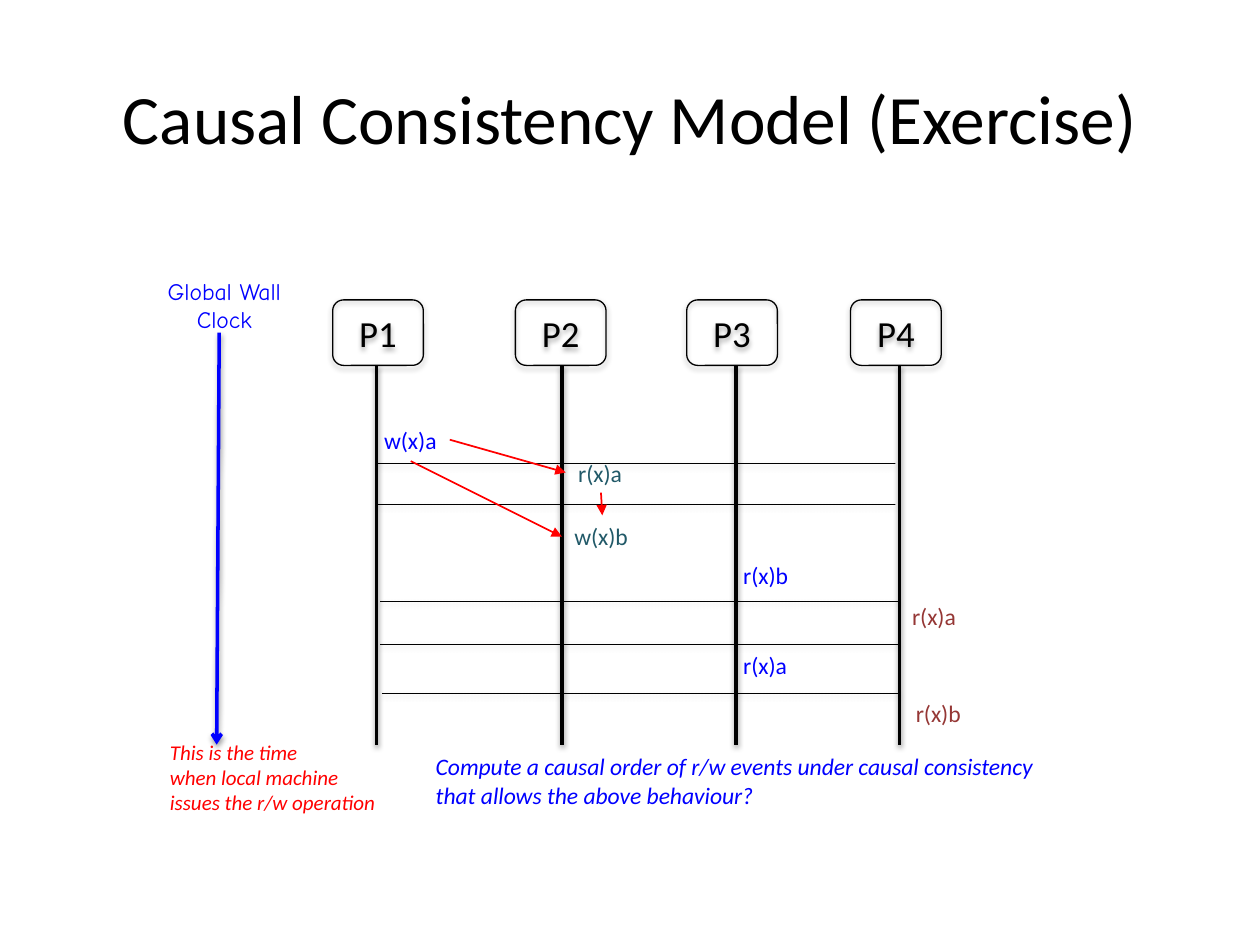
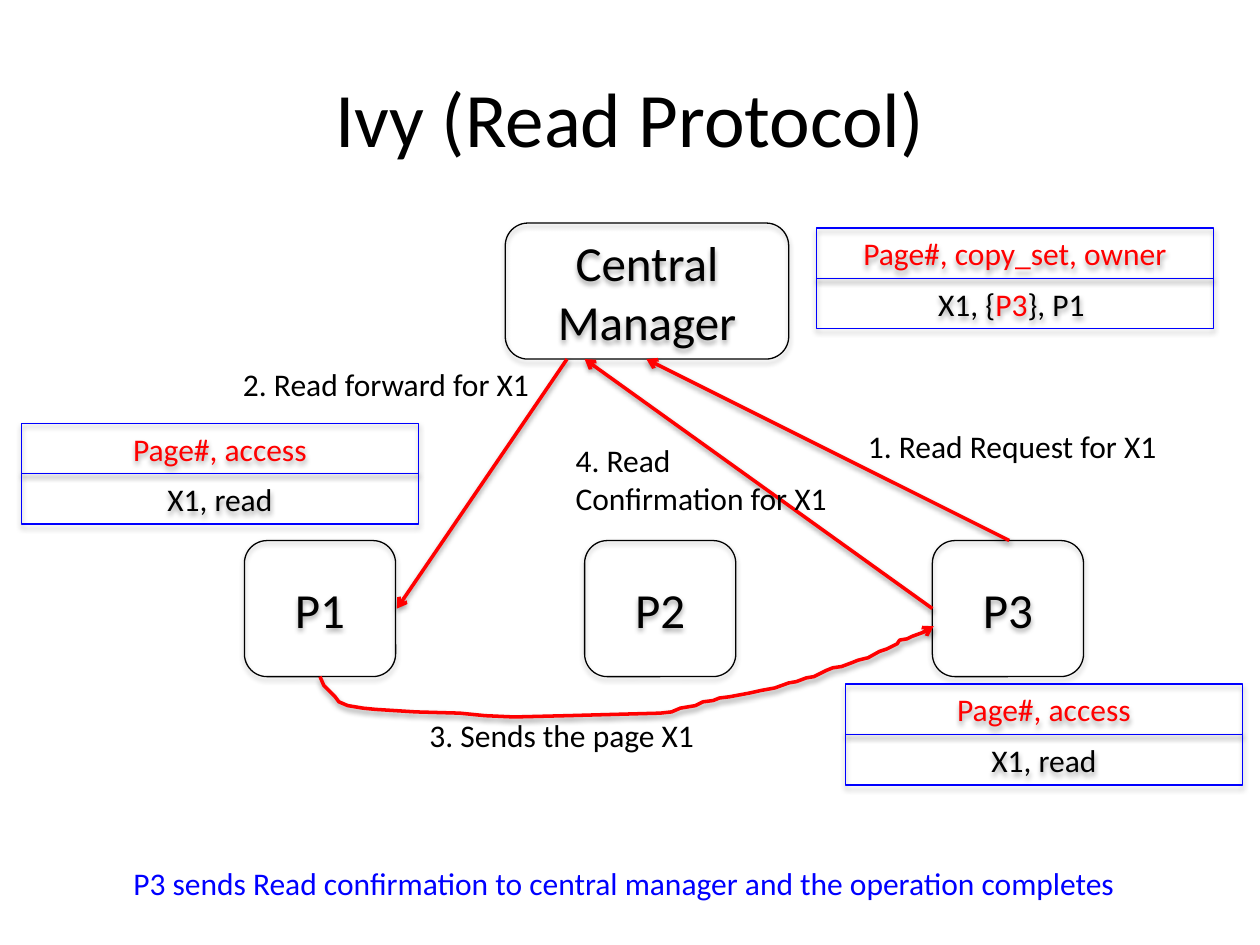
from lxml import etree
from pptx import Presentation
from pptx.dml.color import RGBColor
from pptx.enum.dml import MSO_LINE
from pptx.enum.shapes import MSO_CONNECTOR, MSO_SHAPE
from pptx.enum.text import MSO_ANCHOR, MSO_AUTO_SIZE, PP_ALIGN
from pptx.oxml.ns import qn
from pptx.util import Emu, Inches, Pt

STRAIGHT = MSO_CONNECTOR.STRAIGHT
ROUNDED, RECT = MSO_SHAPE.ROUNDED_RECTANGLE, MSO_SHAPE.RECTANGLE
LEFT, CENTER = PP_ALIGN.LEFT, PP_ALIGN.CENTER
MIDDLE = MSO_ANCHOR.MIDDLE
FIT, DOTTED = MSO_AUTO_SIZE.SHAPE_TO_FIT_TEXT, MSO_LINE.ROUND_DOT

COLUMNS, ROWS = 10, 7.5
WIDTH, HEIGHT = Inches(10), Inches(7.5)
BODY, HAND = "Calibri", "Comic Neue"
BLACK, RED, BLUE, TEAL, BROWN = "000000", "FF0000", "0000FF", "215968", "953735"
BOX_SHADOW, LINE_SHADOW = (35, 1.8), (38, 1.6)

LIFELINES = {"P1": (2.64, 2.99), "P2": (4.09, 4.46), "P3": (5.45, 5.84), "P4": (6.75, 7.14)}
TIME_LINES = [(2.99, 3.68), (2.99, 4), (3.02, 4.77), (3.02, 5.11), (3.03, 5.5)]
EVENTS = [
    ("w(x)a", 2.95, 3.33, BLUE), ("r(x)a", 4.49, 3.59, TEAL), ("w(x)b", 4.46, 4.09, TEAL),
    ("r(x)b", 5.8, 4.4, BLUE), ("r(x)a", 5.8, 5.12, BLUE),
    ("r(x)a", 7.14, 4.73, BROWN), ("r(x)b", 7.17, 5.5, BROWN),
]
CAUSAL_ARROWS = [((3.57, 3.49), (4.49, 3.75)), ((4.77, 3.91), (4.78, 4.09)),
                 ((3.26, 3.66), (4.46, 4.26))]

PROCESSES = {"P1": 1.94, "P2": 4.64, "P3": 7.4}
PAGE_TABLES = [
    (6.48, 1.81, "Page#, copy_set, owner", "X1, {|P3|}, P1 "),
    (0.17, 3.36, "Page#, access", "X1, read"),
    (6.71, 5.43, "Page#, access", "X1, read"),
]
MESSAGES = [((8.01, 4.29), (5.13, 2.85)), ((4.5, 2.85), (3.15, 4.83)),
            ((7.4, 4.83), (4.64, 2.85))]
STEPS = [
    ("1. Read Request for X1", 6.79, 3.34, 2.53, 0.4),
    ("2. Read forward for X1", 1.83, 2.85, 2.52, 0.4),
    ("3. Sends the page X1", 3.31, 5.63, 2.33, 0.4),
    ("4. Read\nConfirmation for X1", 4.47, 3.45, 2.22, 0.71),
]
PAGE_ROUTE = [
    (2.54, 5.37), (2.57, 5.44), (2.62, 5.49), (2.66, 5.53), (2.69, 5.57), (2.76, 5.6),
    (2.88, 5.62), (2.98, 5.63), (3.3, 5.65), (3.65, 5.66), (3.85, 5.68), (4.08, 5.69),
    (4.5, 5.68), (5.24, 5.66), (5.33, 5.65), (5.4, 5.62), (5.52, 5.6), (5.58, 5.57),
    (5.66, 5.56), (5.71, 5.54), (5.79, 5.53), (5.95, 5.5), (6.04, 5.48), (6.15, 5.46),
    (6.26, 5.42), (6.32, 5.41), (6.4, 5.38), (6.46, 5.37), (6.56, 5.32), (6.61, 5.3),
    (6.68, 5.29), (6.76, 5.26), (6.81, 5.24), (6.89, 5.22), (6.98, 5.17), (7.04, 5.15),
    (7.12, 5.11), (7.14, 5.08), (7.2, 5.07), (7.24, 5.05), (7.35, 5.01), (7.41, 4.97),
]


def rgb(color):
    """Turn a hex string into a colour."""
    return RGBColor.from_string(color)


def place(col, row):
    """Turn a column and row of the slide grid into lengths."""
    return Emu(round(WIDTH * col / COLUMNS)), Emu(round(HEIGHT * row / ROWS))


def set_effects(shape, shadow=None):
    """Give a shape a soft downward shadow, or none."""
    effects = etree.SubElement(shape._element.spPr, qn("a:effectLst"))
    if shadow:
        alpha, distance = shadow
        outer = etree.SubElement(effects, qn("a:outerShdw"), blurRad=str(Pt(3.1)),
                                 dist=str(Pt(distance)), dir="5400000", rotWithShape="0")
        tint = etree.SubElement(outer, qn("a:srgbClr"), val=BLACK)
        etree.SubElement(tint, qn("a:alpha"), val=str(alpha * 1000))


def style_line(shape, color, width, head=None, dash=None):
    """Set the stroke of a line and the arrowhead at its end."""
    shape.line.color.rgb = rgb(color)
    shape.line.width = Pt(width)
    if dash:
        shape.line.dash_style = dash
    if head:
        etree.SubElement(shape.line._get_or_add_ln(), qn("a:tailEnd"), type=head)


def write(tf, text, size, color=BLACK, font=BODY, align=LEFT, italic=False, accent=RED):
    """Write lines as paragraphs, with parts between bars in the accent colour."""
    tf.text = "\n".join("" for _ in text.split("\n"))
    for p, line in zip(tf.paragraphs, text.split("\n")):
        p.alignment = align
        for i, part in enumerate(line.split("|")):
            r = p.add_run()
            r.text = part
            r.font.size, r.font.name, r.font.italic = Pt(size), font, italic
            r.font.color.rgb = rgb(accent if i % 2 else color)


def add_slide(prs, title, size):
    """Add a slide with its centred title."""
    s = prs.slides.add_slide(prs.slide_layouts[5])
    sp = s.shapes.title
    sp.left, sp.top = place(0.5, 0.3)
    sp.width, sp.height = place(9, 1.25)
    sp.text_frame.vertical_anchor = MIDDLE
    write(sp.text_frame, title, size, align=CENTER)
    return s


def add_label(s, text, col, row, cols, rows, size, color=BLACK, **style):
    """Add a text box that fits its lines."""
    tf = s.shapes.add_textbox(*place(col, row), *place(cols, rows)).text_frame
    tf.word_wrap, tf.auto_size = False, FIT
    write(tf, text, size, color, **style)


def add_box(s, kind, text, col, row, cols, rows, size, edge=BLACK, color=BLACK):
    """Add an outlined box with centred text."""
    sp = s.shapes.add_shape(kind, *place(col, row), *place(cols, rows))
    sp.fill.background()
    style_line(sp, edge, 0.75)
    set_effects(sp, BOX_SHADOW)
    sp.text_frame.word_wrap, sp.text_frame.vertical_anchor = True, MIDDLE
    write(sp.text_frame, text, size, color, align=CENTER)


def add_line(s, start, end, color, width, head=None, dash=None, shadow=LINE_SHADOW):
    """Add a straight line between two grid points."""
    line = s.shapes.add_connector(STRAIGHT, *place(*start), *place(*end))
    style_line(line, color, width, head, dash)
    set_effects(line, shadow)


def add_route(s, points, color, width, head):
    """Add an open hand-drawn line through grid points."""
    start, *rest = [place(*point) for point in points]
    builder = s.shapes.build_freeform(*start)
    builder.add_line_segments(rest, close=False)
    sp = builder.convert_to_shape()
    sp.fill.background()
    style_line(sp, color, width, head)
    set_effects(sp, LINE_SHADOW)


def add_page_table(s, col, row, heading, entry):
    """Add a page record as a heading box over an entry box."""
    for i, (text, color) in enumerate([(heading, RED), (entry, BLACK)]):
        add_box(s, RECT, text, col, row + 0.4 * i, 3.15, 0.4, 18, BLUE, color)


def add_causal_slide(prs):
    """Build the causal consistency exercise."""
    s = add_slide(prs, "Causal Consistency Model (Exercise)", 39.6)
    for name, (col, axis) in LIFELINES.items():
        add_box(s, ROUNDED, name, col, 2.38, 0.72, 0.52, 21)
        add_line(s, (axis, 2.9), (axis, 5.91), BLACK, 2)
    add_line(s, (1.74, 2.64), (1.72, 5.91), BLUE, 2, "arrow")
    add_label(s, "Global Wall\nClock", 1.22, 2.15, 1.12, 0.56, 13.5, BLUE,
              font=HAND, align=CENTER)
    add_label(s, "This is the time\nwhen local machine\nissues the r/w operation",
              1.25, 5.82, 1.85, 0.71, 12, RED, italic=True)
    for col, row in TIME_LINES:
        add_line(s, (col, row), (col + 4.11, row), BLACK, 0.25, dash=DOTTED)
    for text, col, row, color in EVENTS:
        add_label(s, text, col, row, 0.63 if text[0] == "w" else 0.57, 0.33, 13.5, color)
    add_label(s, "Compute a causal order of r/w events under causal consistency\n"
              "that allows the above behaviour?", 3.36, 5.92, 5.06, 0.56, 13.5, BLUE, italic=True)
    for start, end in CAUSAL_ARROWS:
        add_line(s, start, end, RED, 1, "triangle", shadow=None)


def add_ivy_slide(prs):
    """Build the Ivy read protocol."""
    s = add_slide(prs, "Ivy (Read Protocol)", 44)
    for name, col in PROCESSES.items():
        add_box(s, ROUNDED, name, col, 4.29, 1.2, 1.08, 28)
    add_box(s, ROUNDED, "Central Manager", 4.01, 1.77, 2.25, 1.08, 28)
    for table in PAGE_TABLES:
        add_page_table(s, *table)
    for start, end in MESSAGES:
        add_line(s, start, end, RED, 2, "arrow")
    add_route(s, PAGE_ROUTE, RED, 2, "arrow")
    for step in STEPS:
        add_label(s, *step, 18)
    add_label(s, "P3 sends Read confirmation to central manager and the operation completes",
              0.96, 6.81, 8.1, 0.4, 18, BLUE)


def main():
    """Build and save the presentation."""
    prs = Presentation()
    prs.slide_width, prs.slide_height = WIDTH, HEIGHT
    add_causal_slide(prs)
    add_ivy_slide(prs)
    prs.save("out.pptx")


if __name__ == "__main__":
    main()
